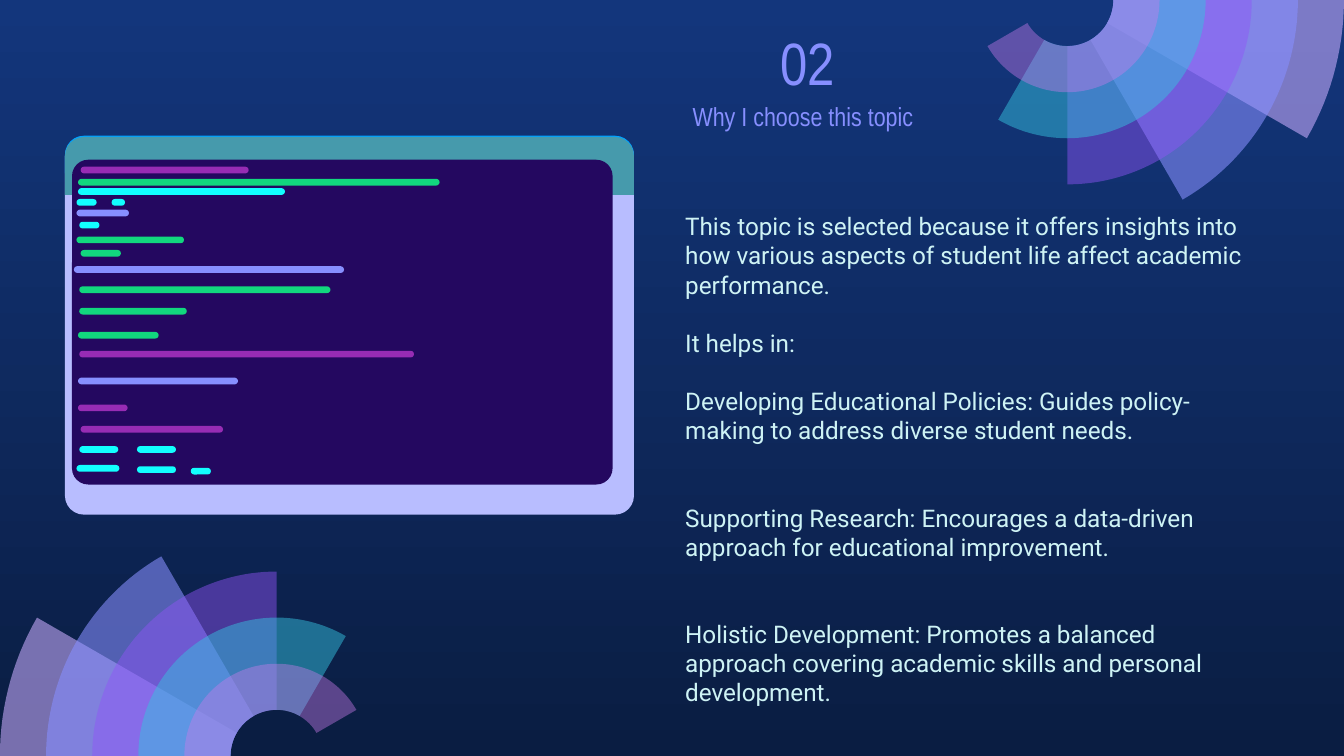
from dataclasses import dataclass
from math import cos, radians, sin

from pptx import Presentation
from pptx.dml.color import RGBColor
from pptx.enum.shapes import MSO_SHAPE as SHAPE
from pptx.enum.text import MSO_ANCHOR as ANCHOR, PP_ALIGN as ALIGN
from pptx.oxml.ns import qn
from pptx.util import Pt
from lxml.etree import SubElement


@dataclass(frozen=True)
class Theme:
    bg_top: str = "13367C"
    bg_bottom: str = "0A1D42"
    body: str = "CEF3F5"
    accent: str = "878FFF"
    frame: str = "B8BDFF"
    edge: str = "00A3FF"
    header: str = "469AAC"
    screen: str = "240860"
    green: str = "12D77E"
    cyan: str = "12FFFF"
    purple: str = "972CB4"
    # Fan sectors from the outermost: colour, opacity in percent
    fan: tuple = (("C8ACFD", 58), ("878FFF", 58), ("9154F8", 46),
                  ("35C2DF", 49), ("CA7BEB", 42))
    heading_font: str = "Arial Narrow"
    body_font: str = "Roboto"
    number_size: int = 32
    heading_size: int = 14
    body_size: int = 13


THEME = Theme()
WIDTH, HEIGHT = 720, 405
RING = 24.7
FAN_X = 6 * RING
SECTOR_STEP = 30
BAR_HEIGHT = 3.6
BODY_LINE = 15.6

# Code lines by colour: left, top, width
CODE = {
    THEME.green: [(41.8, 95.8, 193.7), (41, 126.7, 57.6), (43.2, 133.9, 21.6),
                  (42.5, 153.4, 134.6), (42.5, 164.9, 57.6), (41.8, 177.8, 43.2)],
    THEME.cyan: [(41.8, 100.8, 110.9), (41, 106.6, 10.8), (59.8, 106.6, 7.2),
                 (42.5, 118.8, 10.8), (42.5, 239, 20.9), (73.4, 239, 20.9),
                 (41, 249.1, 23), (73.4, 249.8, 20.9), (102.2, 250.6, 10.8)],
    THEME.purple: [(43.2, 89.3, 90), (42.5, 187.9, 179.3),
                   (41.8, 216.7, 26.6), (43.2, 228.2, 76.3)],
    THEME.accent: [(41, 112.3, 28.1), (39.6, 142.6, 144.7), (41.8, 202.3, 85.7)],
}

# Body paragraphs: blank lines above, text
BODY = [
    (0, "This topic is selected because it offers insights into how various "
        "aspects of student life affect academic performance."),
    (1, "It helps in:"),
    (1, "Developing Educational Policies: Guides policy-making to address "
        "diverse student needs."),
    (2, "Supporting Research: Encourages a data-driven approach for "
        "educational improvement."),
    (2, "Holistic Development: Promotes a balanced approach covering academic "
        "skills and personal development."),
]


def rgb(color):
    return RGBColor.from_string(color)


def paint(sp, color, opacity=100):
    sp.shadow.inherit = False
    sp.line.fill.background()
    sp.fill.solid()
    sp.fill.fore_color.rgb = rgb(color)
    if opacity < 100:
        clr = next(sp._element.spPr.iter(qn("a:srgbClr")))
        SubElement(clr, qn("a:alpha")).set("val", str(opacity * 1000))


def add_background(slide):
    fill = slide.background.fill
    fill.gradient()
    fill.gradient_angle = 270
    for stop, color in zip(fill.gradient_stops, (THEME.bg_top, THEME.bg_bottom)):
        stop.color.rgb = rgb(color)


def add_sector(slide, cx, cy, radius, start, sweep, color, opacity):
    """Ring sector from the inner ring to radius, clockwise from start degrees."""
    def arc(r):
        angles = [radians(start + a) for a in range(0, sweep + 1, 2)]
        return [(Pt(cx + r * cos(a)), Pt(cy + r * sin(a))) for a in angles]

    points = arc(radius) + arc(RING)[::-1]
    builder = slide.shapes.build_freeform(*points[0])
    builder.add_line_segments(points[1:], close=True)
    paint(builder.convert_to_shape(), color, opacity)


def add_fan(slide, cx, cy, start):
    for i, (color, opacity) in enumerate(THEME.fan):
        add_sector(slide, cx, cy, RING * (6 - i), start,
                   SECTOR_STEP * (i + 1), color, opacity)


def add_block(slide, kind, box, color, rounding):
    sp = slide.shapes.add_shape(kind, *map(Pt, box))
    sp.adjustments[0] = rounding
    paint(sp, color)


def add_code_window(slide):
    left, width = 34.8, 304.8
    add_block(slide, SHAPE.ROUNDED_RECTANGLE, (left, 73.4, width, 202.3), THEME.frame, 0.05)
    add_block(slide, SHAPE.ROUND_2_SAME_RECTANGLE, (left, 72.7, width, 20.2), THEME.edge, 0.5)
    add_block(slide, SHAPE.ROUND_2_SAME_RECTANGLE, (left, 73.4, width, 31), THEME.header, 0.33)
    add_block(slide, SHAPE.ROUNDED_RECTANGLE, (38.6, 85.6, 289.6, 174), THEME.screen, 0.05)
    for color, bars in CODE.items():
        for x, y, w in bars:
            add_block(slide, SHAPE.ROUNDED_RECTANGLE, (x, y, w, BAR_HEIGHT), color, 0.5)


def add_text(slide, box, paragraphs, font, size, color, anchor, align=ALIGN.LEFT):
    """Text box; paragraphs are pairs of blank lines above and text."""
    tf = slide.shapes.add_textbox(*map(Pt, box)).text_frame
    tf.word_wrap = True
    tf.vertical_anchor = anchor
    tf.margin_left = tf.margin_right = tf.margin_top = tf.margin_bottom = Pt(7.2)
    for i, (gap, text) in enumerate(paragraphs):
        p = tf.add_paragraph() if i else tf.paragraphs[0]
        p.text = text
        p.alignment = align
        p.space_before = Pt(gap * BODY_LINE)
        p.font.name = font
        p.font.size = Pt(size)
        p.font.color.rgb = rgb(color)


def main():
    prs = Presentation()
    prs.slide_width, prs.slide_height = Pt(WIDTH), Pt(HEIGHT)
    slide = prs.slides.add_slide(prs.slide_layouts[6])
    add_background(slide)
    add_fan(slide, FAN_X, HEIGHT, 180)
    add_fan(slide, WIDTH - FAN_X, 0, 0)
    add_text(slide, (360, 155.5, 313.2, 230.4), BODY, THEME.body_font,
             THEME.body_size, THEME.body, ANCHOR.BOTTOM)
    add_code_window(slide)
    add_text(slide, (349.2, 23, 162, 54.7), [(0, "Why I choose this topic")],
             THEME.heading_font, THEME.heading_size, THEME.accent,
             ANCHOR.BOTTOM, ALIGN.CENTER)
    add_text(slide, (389.5, 17.3, 86.4, 31), [(0, "02")],
             THEME.heading_font, THEME.number_size, THEME.accent,
             ANCHOR.MIDDLE, ALIGN.CENTER)
    prs.save("out.pptx")


if __name__ == "__main__":
    main()
